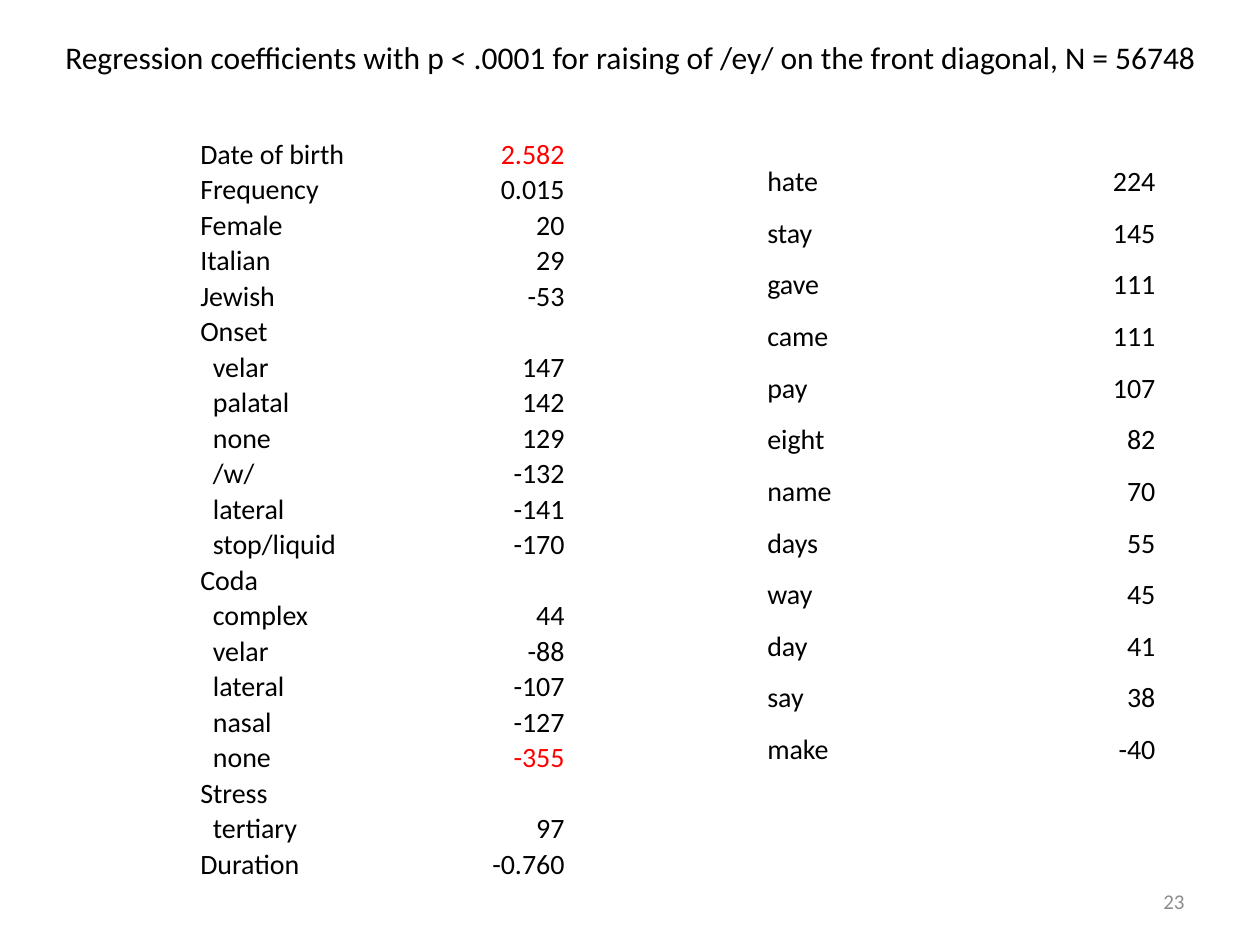
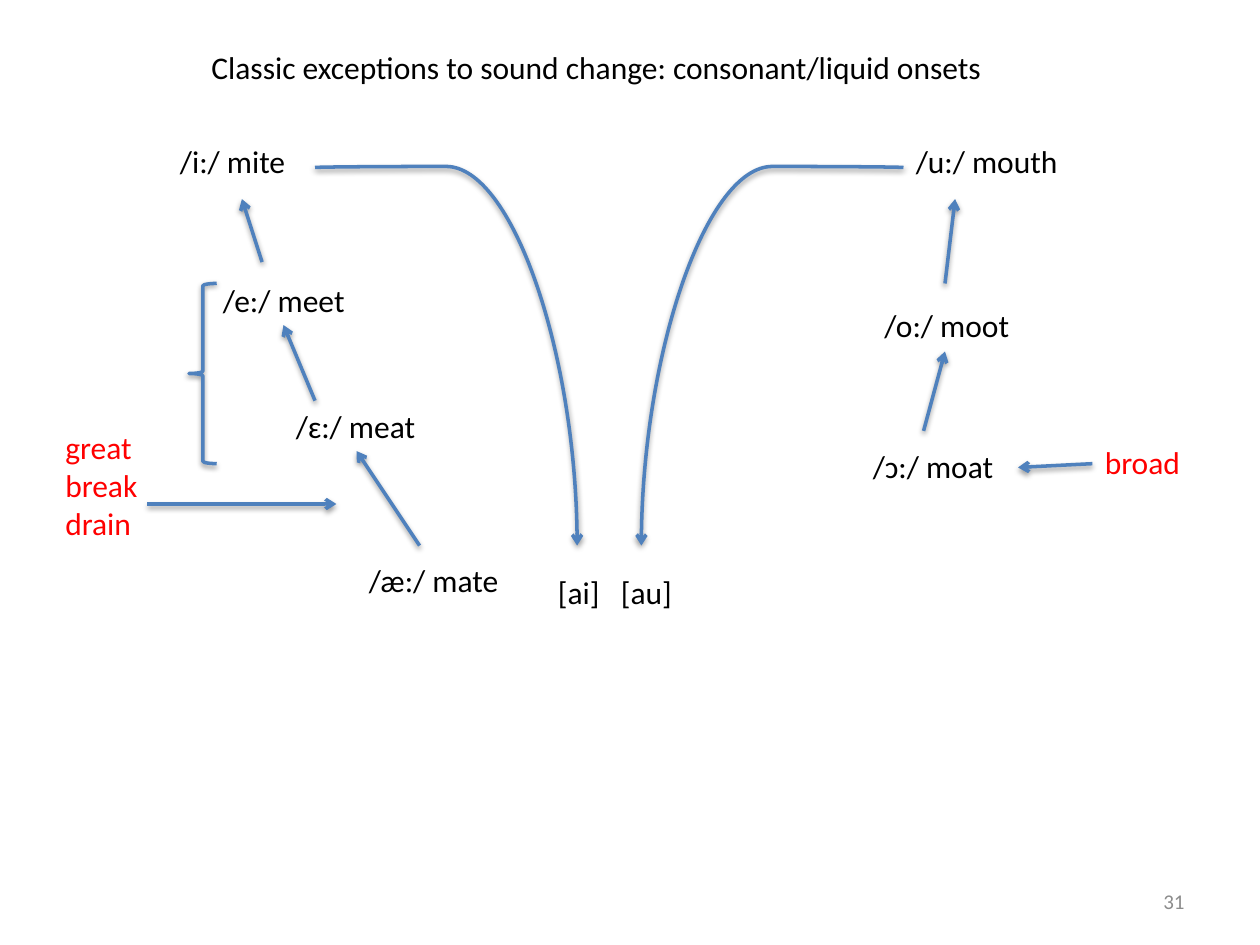
from dataclasses import dataclass

from lxml import etree
from pptx import Presentation
from pptx.dml.color import RGBColor
from pptx.enum.shapes import MSO_CONNECTOR, MSO_SHAPE
from pptx.enum.text import MSO_ANCHOR, MSO_AUTO_SIZE, PP_ALIGN
from pptx.oxml.ns import qn
from pptx.util import Inches, Pt

STRAIGHT, CURVE = MSO_CONNECTOR.STRAIGHT, MSO_CONNECTOR.CURVE
BRACE = MSO_SHAPE.LEFT_BRACE
LEFT, RIGHT = PP_ALIGN.LEFT, PP_ALIGN.RIGHT
TOP, MIDDLE, BOTTOM = MSO_ANCHOR.TOP, MSO_ANCHOR.MIDDLE, MSO_ANCHOR.BOTTOM
GROW, FIXED = MSO_AUTO_SIZE.SHAPE_TO_FIT_TEXT, MSO_AUTO_SIZE.NONE


@dataclass(frozen=True)
class Theme:
    font: str = "Calibri"
    ink: str = "000000"
    accent: str = "FF0000"
    muted: str = "8C8C8C"
    stroke: str = "4F81BD"
    body: int = 18
    cell: int = 16
    note: int = 12
    weight: int = 2


THEME = Theme()
CELL = {"margin_top": Inches(0.01), "margin_right": Inches(0.01),
        "margin_bottom": 0, "vertical_anchor": BOTTOM}
PLAIN = {"first_row": False, "horz_banding": False}
SHADE = {"blurRad": Pt(3.1), "dist": Pt(1.6), "dir": 90 * 60000,
         "rotWithShape": 0}

# Label, value, indent level
FACTORS = [
    ("Date of birth", "2.582", 0), ("Frequency", "0.015", 0),
    ("Female", "20", 0), ("Italian", "29", 0), ("Jewish", "-53", 0),
    ("Onset", "", 0),
    ("velar", "147", 1), ("palatal", "142", 1), ("none", "129", 1),
    ("/w/", "-132", 1), ("lateral", "-141", 1), ("stop/liquid", "-170", 1),
    ("Coda", "", 0),
    ("complex", "44", 1), ("velar", "-88", 1), ("lateral", "-107", 1),
    ("nasal", "-127", 1), ("none", "-355", 1),
    ("Stress", "", 0), ("tertiary", "97", 1),
    ("Duration", "-0.760", 0),
]
WORDS = [
    ("hate", "224", 0), ("stay", "145", 0), ("gave", "111", 0),
    ("came", "111", 0), ("pay", "107", 0), ("eight", "82", 0),
    ("name", "70", 0), ("days", "55", 0), ("way", "45", 0),
    ("day", "41", 0), ("say", "38", 0), ("make", "-40", 0),
]
STRONG = {"2.582", "-355"}

# Text, left, top, width
VOWELS = [
    ("/i:/ mite", 1.33, 1.08, 1.5), ("/e:/ meet", 1.67, 2.18, 1.5),
    ("/ɛ:/ meat", 2.25, 3.18, 1.5), ("/æ:/ mate", 2.83, 4.4, 1.5),
    ("/u:/ mouth", 7.17, 1.08, 1.5), ("/o:/ moot", 6.92, 2.38, 1.58),
    ("/ɔ:/ moat", 6.83, 3.5, 1.58),
    ("[ai]", 4.33, 4.5, 1.25), ("[au]", 4.83, 4.5, 1.25),
]
# Start and end of each shift
SHIFTS = [
    ((3.33, 4.33), (2.83, 3.58)), ((2.5, 3.18), (2.25, 2.58)),
    ((2.08, 2.08), (1.92, 1.58)), ((1.17, 4), (2.67, 4)),
    ((7.33, 3.42), (7.5, 2.79)), ((7.5, 2.25), (7.58, 1.58)),
]


def put(item, values):
    for name, value in values.items():
        setattr(item, name, value)


def write(para, text, size, color, align=LEFT):
    para.alignment = align
    run = para.add_run()
    run.text = text
    put(run.font, {"name": THEME.font, "size": Pt(size)})
    run.font.color.rgb = RGBColor.from_string(color)


def add_text(slide, text, left, top, width, height=0.4, size=THEME.body,
             color=THEME.ink, align=LEFT, anchor=TOP, fit=GROW):
    box = slide.shapes.add_textbox(*map(Inches, (left, top, width, height)))
    frame = box.text_frame
    put(frame, {"word_wrap": True, "auto_size": fit, "vertical_anchor": anchor})
    for row, line in enumerate(text.split("\n")):
        para = frame.add_paragraph() if row else frame.paragraphs[0]
        write(para, line, size, color, align)
    return box


def add_number(slide, number):
    add_text(slide, number, 7.17, 6.95, 2.33, size=THEME.note,
             color=THEME.muted, align=RIGHT, anchor=MIDDLE, fit=FIXED)


def fill_cell(cell, text, align, level=0):
    put(cell, CELL)
    cell.margin_left = Inches(0.01 + 0.1 * level)
    cell.fill.background()
    para = cell.text_frame.paragraphs[0]
    if text:
        color = THEME.accent if text in STRONG else THEME.ink
        write(para, text, THEME.cell, color, align)
    else:
        etree.SubElement(para._p, qn("a:endParaRPr"), sz=str(THEME.cell * 100))


def add_grid(slide, data, left, top, widths, height):
    """Add a two-column table of labels and values."""
    shape = slide.shapes.add_table(
        len(data), 2, Inches(left), Inches(top),
        Inches(sum(widths)), Inches(height * len(data)))
    table = shape.table
    put(table, PLAIN)
    for column, width in zip(table.columns, widths):
        column.width = Inches(width)
    for row, (label, value, level) in zip(table.rows, data):
        row.height = Inches(height)
        fill_cell(row.cells[0], label, LEFT, level)
        fill_cell(row.cells[1], value, RIGHT)


def style_line(shape):
    """Give a shape the shared stroke and soft shadow."""
    shape.line.color.rgb = RGBColor.from_string(THEME.stroke)
    shape.line.width = Pt(THEME.weight)
    props = shape.element.spPr
    effects = props.find(qn("a:effectLst"))
    if effects is None:
        effects = etree.SubElement(props, qn("a:effectLst"))
    shade = etree.SubElement(effects, qn("a:outerShdw"))
    for name, value in SHADE.items():
        shade.set(name, str(value))
    color = etree.SubElement(shade, qn("a:srgbClr"), val=THEME.ink)
    etree.SubElement(color, qn("a:alpha"), val="38000")


def add_arrow(slide, start, end, kind=STRAIGHT):
    arrow = slide.shapes.add_connector(kind, *map(Inches, (*start, *end)))
    style_line(arrow)
    etree.SubElement(arrow.line._get_or_add_ln(), qn("a:tailEnd"), type="arrow")
    return arrow


def add_bend(slide, left, turn, flip):
    """Add a curved arrow, turned by a number of degrees."""
    top, width, height = 1.79, 3, 2.08
    bend = add_arrow(slide, (left, top), (left + width, top + height), CURVE)
    props = bend.element.spPr
    frame = props.find(qn("a:xfrm"))
    frame.set("rot", str(turn * 60000))
    if flip:
        frame.set("flipH", "1")
    guides = props.find(qn("a:prstGeom")).find(qn("a:avLst"))
    etree.SubElement(guides, qn("a:gd"), name="adj1", fmla="val -300")


def add_brace(slide, left, top, width, height):
    brace = slide.shapes.add_shape(
        BRACE, *map(Inches, (left, top, width, height)))
    brace.fill.background()
    brace.shadow.inherit = False
    style_line(brace)


def build_scores(slide):
    add_grid(slide, FACTORS, 1.58, 1.08, (1.38, 1.53), 0.27)
    add_grid(slide, WORDS, 6.08, 1.17, (1.42, 1.68), 0.41)
    add_text(slide, "Regression coefficients with p < .0001 for raising of "
             "/ey/ on the front diagonal, N = 56748", 0.42, 0.25, 9.42)
    add_number(slide, "23")


def build_shifts(slide):
    add_text(slide, "Classic exceptions to sound change: consonant/liquid "
             "onsets", 1.58, 0.33, 6.67)
    for vowel in VOWELS:
        add_text(slide, *vowel)
    add_text(slide, "great\nbreak\ndrain", 0.42, 3.35, 1, 1.01,
             color=THEME.accent)
    broad = add_text(slide, "broad", 8.67, 3.47, 1, 0.42, color=THEME.accent)
    for start, end in SHIFTS:
        add_arrow(slide, start, end)
    add_arrow(slide, (8.67, 3.69), (8.08, 3.71)).begin_connect(broad, 1)
    add_bend(slide, 2.04, 270, True)
    add_bend(slide, 4.63, 90, False)
    add_brace(slide, 1.5, 2.25, 0.22, 1.43)
    add_number(slide, "31")


def main():
    deck = Presentation()
    put(deck, {"slide_width": Inches(10), "slide_height": Inches(7.5)})
    blank = deck.slide_layouts[6]
    for build in (build_scores, build_shifts):
        build(deck.slides.add_slide(blank))
    deck.save("out.pptx")


if __name__ == "__main__":
    main()
